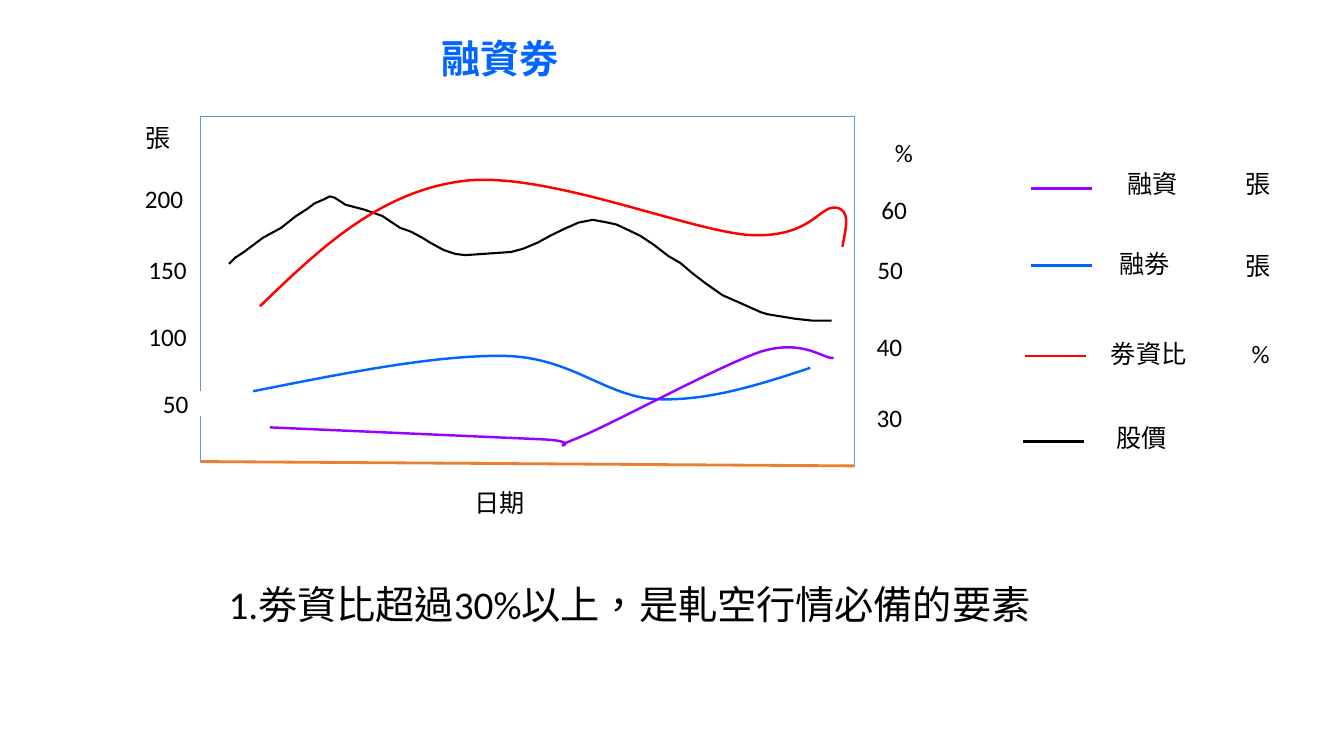
from pptx import Presentation
from pptx.dml.color import RGBColor
from pptx.enum.shapes import MSO_CONNECTOR, MSO_SHAPE
from pptx.enum.text import MSO_ANCHOR, PP_ALIGN
from pptx.oxml.ns import qn
from pptx.util import Cm, Pt
from lxml import etree

RECT, STRAIGHT = MSO_SHAPE.RECTANGLE, MSO_CONNECTOR.STRAIGHT
MIDDLE, CENTER = MSO_ANCHOR.MIDDLE, PP_ALIGN.CENTER
BLACK, WHITE, RED, BLUE, PURPLE = "000000", "FFFFFF", "FF0000", "0066FF", "9900FF"
ORANGE, FRAME = "ED7D31", "5B9BD5"
FONT, LANGUAGE = "Calibri", "zh-TW"
LEGEND_LENGTH = 1.54

TITLE = ("融資劵", 4.9, 0.41, 15.39, 2.11)
NOTE = ("1.劵資比超過30%以上，是軋空行情必備的要素", 5.51, 14.5, 23.04, 1.45)
LABELS = [
    ("張", 3, 3.07, 1.98, 0.79),
    ("200", 3.36, 4.67, 1.55, 0.66),
    ("150", 3.45, 6.45, 1.55, 0.66),
    ("100", 3.45, 8.26, 1.55, 0.43),
    ("50", 3.81, 9.86, 1.24, 0.61),
    ("%", 21.79, 3.45, 1.98, 0.79),
    ("60", 21.76, 4.95, 1.55, 0.66),
    ("50", 21.66, 6.45, 1.55, 0.66),
    ("40", 21.64, 8.41, 1.55, 0.66),
    ("30", 21.64, 10.18, 1.55, 0.66),
    ("日期", 11.56, 12.32, 2.08, 0.69),
    ("融資", 27.38, 4.29, 3.35, 0.66),
    ("融劵", 27.9, 6.33, 1.88, 0.61),
    ("劵資比", 27.53, 8.53, 2.84, 0.74),
    ("股價", 27.86, 10.57, 1.83, 0.89),
    ("張", 30.71, 4.22, 1.98, 0.79),
    ("張", 30.71, 6.3, 1.98, 0.79),
    ("%", 30.73, 8.56, 2.08, 0.69),
]
AXES = [
    ((5.05, 11.63), (21.54, 11.74), ORANGE, 2),
    ((5.05, 2.92), (5.05, 11.63), FRAME, 0.5),
    ((21.54, 11.74), (21.54, 2.92), FRAME, 0.5),
    ((5.05, 2.92), (21.54, 2.92), FRAME, 0.5),
]
LEGEND = [
    (25.98, 4.74, PURPLE, 2),
    (25.98, 6.69, BLUE, 1.75),
    (25.83, 8.97, RED, 1.75),
    (25.78, 11.13, BLACK, 1.75),
]
PRICE = [
    (5.77, 6.65), (5.92, 6.5), (6.15, 6.35), (6.63, 5.99), (7.09, 5.74), (7.44, 5.46),
    (7.75, 5.26), (7.92, 5.13), (8.15, 5.03), (8.31, 4.95), (8.43, 4.98),
    (8.71, 5.16), (9.17, 5.28), (9.63, 5.44), (9.78, 5.54), (10.08, 5.74),
    (10.36, 5.84), (10.64, 5.99), (10.85, 6.12), (11.18, 6.3), (11.48, 6.4),
    (11.73, 6.43), (12.88, 6.35), (13.18, 6.27), (13.54, 6.12), (13.87, 5.94),
    (14.22, 5.77), (14.58, 5.61), (14.94, 5.54), (15.32, 5.61), (15.54, 5.66),
    (15.88, 5.82), (16.13, 5.94), (16.48, 6.17), (16.84, 6.45), (17.15, 6.63),
    (17.48, 6.91), (17.81, 7.16), (18.21, 7.44), (18.62, 7.62), (19.18, 7.87),
    (19.35, 7.92), (20.02, 8.03), (20.47, 8.08), (20.96, 8.08),
]
CURVES = [
    (RED, (6.55, 4.52, 14.78, 3.2),
     [(6.55, 7.72), (8.05, 6.27), (9.55, 4.85), (11.61, 4.57),
      (13.64, 4.27), (17.27, 5.79), (18.85, 5.92),
      (20.42, 6.02), (20.65, 5.18), (21.06, 5.23),
      (21.46, 5.28), (21.31, 5.77), (21.23, 6.22)]),
    (BLUE, (6.38, 8.97, 14.05, 1.12),
     [(6.38, 9.86), (8.69, 9.4), (11, 8.94), (12.7, 8.97),
      (14.4, 8.99), (15.27, 10.01), (16.56, 10.06),
      (17.83, 10.11), (19.13, 9.7), (20.42, 9.27)]),
    (PURPLE, (6.8, 8.76, 14.2, 2.46),
     [(6.8, 10.77), (9.08, 10.87), (11.36, 10.97), (13.64, 11.07),
      (14.94, 11.13), (13.61, 11.4), (14.53, 11.05),
      (15.47, 10.67), (18.11, 9.22), (19.18, 8.86),
      (20.27, 8.53), (20.78, 9.07), (21.01, 9.02)]),
]


def color(value):
    """Turn a hex string into a colour."""
    return RGBColor.from_string(value)


def set_line(shape, value, width):
    """Set the colour and width of an outline."""
    shape.line.color.rgb = color(value)
    shape.line.width = Pt(width)


def write(shape, text, size, value=BLACK, bold=False):
    """Put one formatted run into a shape."""
    tf = shape.text_frame
    tf.word_wrap = True
    r = tf.paragraphs[0].add_run()
    r.text = text
    r.font.color.rgb = color(value)
    for name, setting in {"name": FONT, "size": Pt(size), "bold": bold}.items():
        setattr(r.font, name, setting)
    r._r.get_or_add_rPr().set("lang", LANGUAGE)
    return tf


def add_box(s, text, x, y, w, h, size=18, value=BLACK, bold=False):
    """Add a white rectangle with centred text."""
    sp = s.shapes.add_shape(RECT, Cm(x), Cm(y), Cm(w), Cm(h))
    sp.shadow.inherit = False
    sp.fill.solid()
    sp.fill.fore_color.rgb = color(WHITE)
    set_line(sp, WHITE, 1)
    tf = write(sp, text, size, value, bold)
    margins = dict.fromkeys(("margin_left", "margin_right", "margin_top", "margin_bottom"), 0)
    for name, setting in {**margins, "vertical_anchor": MIDDLE}.items():
        setattr(tf, name, setting)
    tf.paragraphs[0].alignment = CENTER


def add_line(s, start, end, value, width):
    """Add a straight line without a shadow."""
    line = s.shapes.add_connector(STRAIGHT, *map(Cm, start + end))
    set_line(line, value, width)
    etree.SubElement(line._element.spPr, qn("a:effectLst"))


def add_trace(s, points, value, width):
    """Add an open outline through the points."""
    emu = [(Cm(x), Cm(y)) for x, y in points]
    builder = s.shapes.build_freeform(*emu[0])
    builder.add_line_segments(emu[1:], close=False)
    sp = builder.convert_to_shape()
    sp.shadow.inherit = False
    sp.fill.background()
    set_line(sp, value, width)
    return sp


def add_curve(s, value, box, knots):
    """Add a chain of cubic Bezier pieces that fills the box."""
    sp = add_trace(s, knots, value, 1.75)
    for name, length in zip(("left", "top", "width", "height"), box):
        setattr(sp, name, Cm(length))
    outline = next(sp._element.iter(qn("a:path")))
    for child in list(outline):
        outline.remove(child)
    outline.set("w", str(sp.width))
    outline.set("h", str(sp.height))
    pieces = [("a:moveTo", knots[:1])]
    pieces += [("a:cubicBezTo", knots[i:i + 3]) for i in range(1, len(knots), 3)]
    for tag, points in pieces:
        piece = etree.SubElement(outline, qn(tag))
        for x, y in points:
            etree.SubElement(piece, qn("a:pt"), x=str(Cm(x) - sp.left), y=str(Cm(y) - sp.top))


def main():
    """Build the slide and save it."""
    prs = Presentation()
    prs.slide_width, prs.slide_height = Cm(33.87), Cm(19.05)
    s = prs.slides.add_slide(prs.slide_layouts[6])
    add_box(s, *TITLE, size=28, value=BLUE, bold=True)
    for axis in AXES:
        add_line(s, *axis)
    add_trace(s, PRICE, BLACK, 1.5)
    for label in LABELS:
        add_box(s, *label)
    for curve in CURVES:
        add_curve(s, *curve)
    for x, y, value, width in LEGEND:
        add_line(s, (x, y), (x + LEGEND_LENGTH, y), value, width)
    text, *place = NOTE
    write(s.shapes.add_textbox(*map(Cm, place)), text, 28)
    prs.save("out.pptx")


if __name__ == "__main__":
    main()
